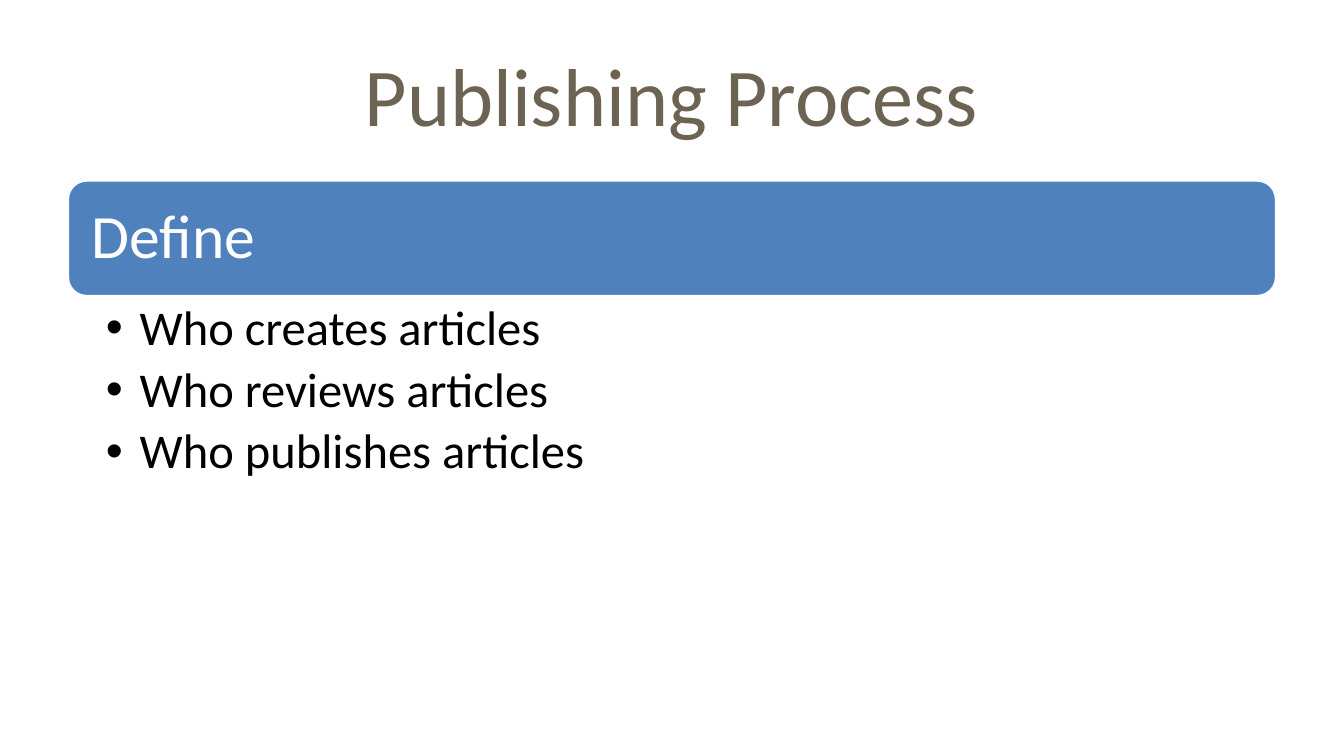
from lxml.etree import SubElement
from pptx import Presentation
from pptx.dml.color import RGBColor
from pptx.enum.shapes import MSO_SHAPE as Shape
from pptx.enum.text import MSO_ANCHOR as Anchor, PP_ALIGN as Align
from pptx.oxml.ns import qn
from pptx.util import Cm, Pt

WHITE = RGBColor(0xFF, 0xFF, 0xFF)
BLACK = RGBColor(0x00, 0x00, 0x00)
BLUE = RGBColor(0x4F, 0x81, 0xBD)
TAUPE = RGBColor(0x6C, 0x63, 0x52)

LEFT, WIDTH = Cm(1.27), Cm(22.86)
BAR_TOP, BAR_HEIGHT = Cm(3.4), Cm(2.21)


def style(paragraph, size, color, align=Align.LEFT):
    paragraph.alignment = align
    paragraph.font.name = "Calibri"
    paragraph.font.size = Pt(size)
    paragraph.font.color.rgb = color


def set_insets(frame, left, top, right, bottom):
    frame.margin_left, frame.margin_top = Cm(left), Cm(top)
    frame.margin_right, frame.margin_bottom = Cm(right), Cm(bottom)


def add_bullet(paragraph):
    properties = paragraph._p.get_or_add_pPr()
    properties.set("marL", str(Cm(0.64)))
    properties.set("indent", str(-Cm(0.64)))
    SubElement(properties, qn("a:buFont")).set("typeface", "Arial")
    SubElement(properties, qn("a:buChar")).set("char", "•")


def set_title(slide, text):
    title = slide.shapes.title
    title.left, title.top, title.width, title.height = LEFT, Cm(0.58), WIDTH, Cm(2.39)
    title.text_frame.text = text
    title.text_frame.vertical_anchor = Anchor.MIDDLE
    style(title.text_frame.paragraphs[0], 44, TAUPE, Align.CENTER)


def add_stage_bar(slide, text):
    bar = slide.shapes.add_shape(Shape.ROUNDED_RECTANGLE, LEFT, BAR_TOP, WIDTH, BAR_HEIGHT)
    bar.shadow.inherit = False
    bar.fill.solid()
    bar.fill.fore_color.rgb = BLUE
    bar.line.color.rgb = WHITE
    bar.line.width = Pt(2)
    frame = bar.text_frame
    frame.text = text
    frame.vertical_anchor = Anchor.MIDDLE
    set_insets(frame, 0.36, 0.36, 0.36, 0.36)
    frame.paragraphs[0].line_spacing = 0.9
    style(frame.paragraphs[0], 33, WHITE)


def add_questions(slide, questions):
    box = slide.shapes.add_textbox(LEFT, BAR_TOP + BAR_HEIGHT, WIDTH, Cm(3.78))
    frame = box.text_frame
    frame.word_wrap = True
    set_insets(frame, 0.73, 0.13, 0.66, 0.13)
    frame.text = "\n".join(questions)
    for paragraph in frame.paragraphs:
        add_bullet(paragraph)
        paragraph.line_spacing = 0.9
        paragraph.space_after = Pt(5)
        style(paragraph, 26, BLACK)


def main():
    deck = Presentation()
    deck.slide_width, deck.slide_height = Cm(25.4), Cm(14.29)
    slide = deck.slides.add_slide(deck.slide_layouts[5])
    set_title(slide, "Publishing Process")
    add_stage_bar(slide, "Define")
    add_questions(slide, [
        "Who creates articles",
        "Who reviews articles",
        "Who publishes articles",
    ])
    deck.save("out.pptx")


if __name__ == "__main__":
    main()
